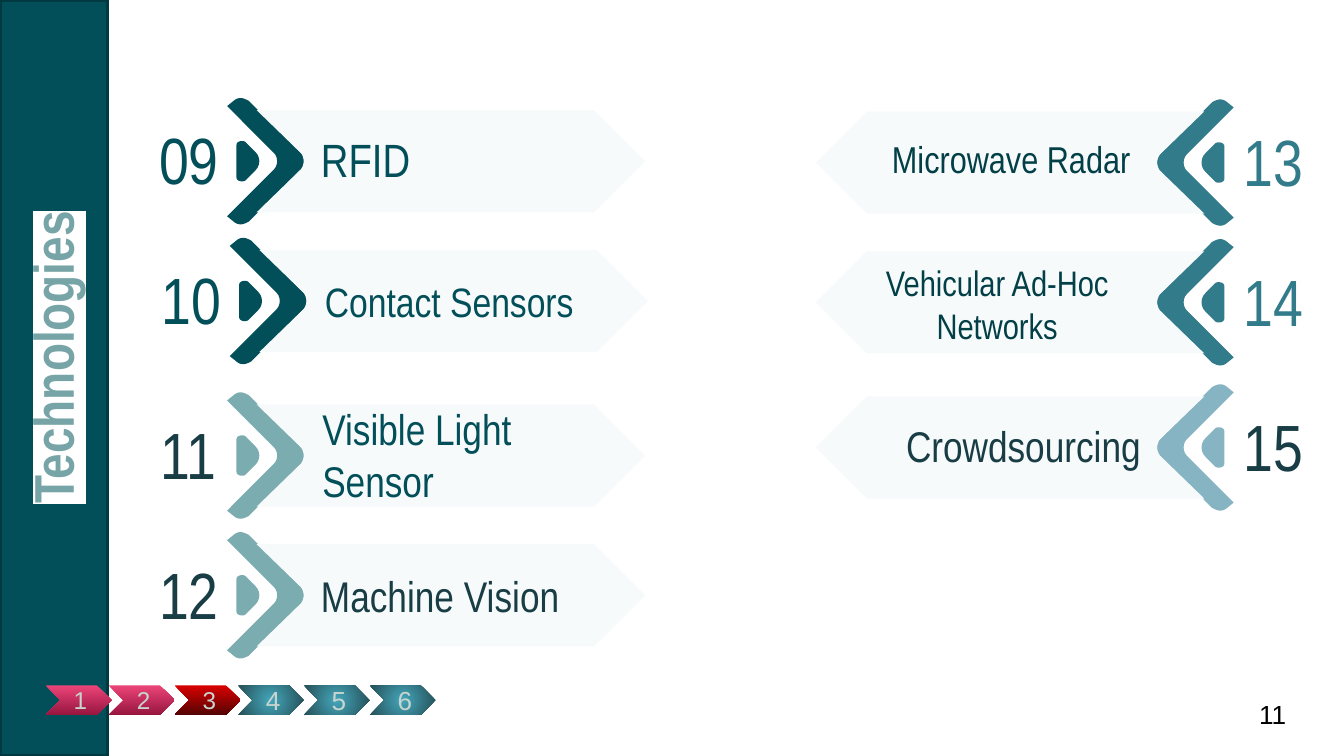
from lxml import etree
from pptx import Presentation
from pptx.dml.color import RGBColor
from pptx.enum.shapes import MSO_SHAPE
from pptx.enum.text import MSO_ANCHOR, PP_ALIGN
from pptx.oxml.ns import qn
from pptx.util import Inches, Pt

WIDTH = Inches(10)
HEIGHT = WIDTH * 9 // 16
NARROW = "Arial Narrow"
DARK, TEAL, SAGE, SKY = "024F59", "327B8A", "7BACB0", "86B4C2"
INK, DEEP, PALE = "183D45", "023F47", "F7FAFB"
PINK, RED, BLUE = ("EC4479", "97163F"), ("DB0000", "540303"), ("44A7BB", "254E56")
LEFT, MID, RIGHT = PP_ALIGN.LEFT, PP_ALIGN.CENTER, PP_ALIGN.RIGHT
MIRROR = 10.87  # right-hand x = MIRROR - left-hand x

# Outlines around a row's middle line: pairs are corners, sixes are Bezier curves.
ARROW = [
    (1.79, -.47), (1.77, -.47, 1.75, -.46, 1.74, -.45), (1.69, -.41), (2.04, -.06),
    (2.07, -.03, 2.07, .03, 2.04, .06), (1.69, .41), (1.74, .45),
    (1.75, .46, 1.77, .47, 1.79, .47), (1.81, .47, 1.83, .46, 1.85, .45), (2.24, .06),
    (2.27, .03, 2.27, -.03, 2.24, -.06), (1.85, -.45),
    (1.83, -.46, 1.81, -.47, 1.79, -.47)]
DROP = [
    (1.8, -.15), (1.78, -.15, 1.76, -.14, 1.76, -.12), (1.76, .12),
    (1.76, .14, 1.78, .15, 1.8, .15), (1.81, .15, 1.82, .15, 1.83, .14), (1.9, .07),
    (1.94, .03, 1.94, -.03, 1.9, -.07), (1.83, -.14),
    (1.82, -.15, 1.81, -.15, 1.8, -.15)]
BAND = [
    (1.91, -.38), (2.24, -.06), (2.25, -.05, 2.26, -.02, 2.26, 0),
    (2.26, .02, 2.25, .05, 2.24, .06), (1.91, .38), (4.42, .38), (4.8, 0), (4.42, -.38)]

# number, label, middle y, shift x, arrow colour, number colour,
# label colour, label size, label left, label middle, label width, label alignment
LEFT_ROWS = [
    ("09", "RFID", 1.2, 0, DARK, DARK, DARK, 25, 2.29, 1.18, 2.13, LEFT),
    ("10", "Contact Sensors", 2.24, .02, DARK, DARK, DARK, 22, 2.32, 2.24, 2.13, LEFT),
    ("11", "Visible Light Sensor", 3.39, 0, SAGE, INK, DARK, 23, 2.3, 3.38, 2.13, LEFT),
    ("12", "Machine Vision", 4.43, 0, SAGE, INK, INK, 23, 2.29, 4.43, 2.13, LEFT)]
RIGHT_ROWS = [
    ("13", "Microwave Radar", 1.21, 0, TEAL, TEAL, DEEP, 20, 6.46, 1.18, 2.13, MID),
    ("14", "Vehicular Ad-Hoc Networks", 2.25, 0, TEAL, TEAL, DEEP, 19, 6.22, 2.26, 2.4, MID),
    ("15", "Crowdsourcing", 3.33, 0, SKY, INK, INK, 23, 6.46, 3.31, 2.13, RIGHT)]

STEPS = [(.34, PINK), (.81, PINK), (1.3, RED), (1.77, BLUE), (2.26, BLUE), (2.75, BLUE)]


def paint(fmt, color):
    fmt.solid()
    fmt.fore_color.rgb = RGBColor.from_string(color)


def write(shape, text, size, color, font=NARROW, align=LEFT, anchor=MSO_ANCHOR.MIDDLE):
    frame = shape.text_frame
    frame.text = text
    frame.word_wrap = True
    frame.vertical_anchor = anchor
    frame.margin_left = frame.margin_right = Inches(.1)
    frame.margin_top = frame.margin_bottom = Inches(.1)
    par = frame.paragraphs[0]
    par.alignment = align
    run = par.runs[0]
    run.font.size = Pt(size)
    run.font.name = font
    run.font.color.rgb = RGBColor.from_string(color)
    return run


def add_text(slide, box, *args, **kw):
    return write(slide.shapes.add_textbox(*map(Inches, box)), *args, **kw)


def trace(outline, steps=6):
    """Turn corners and curves into a list of points."""
    points = []
    for part in outline:
        if len(part) == 2:
            points.append(part)
            continue
        ends = [points[-1], part[:2], part[2:4], part[4:]]
        for i in range(1, steps + 1):
            t = i / steps
            mix = ((1 - t) ** 3, 3 * t * (1 - t) ** 2, 3 * t * t * (1 - t), t ** 3)
            points.append(tuple(sum(m * e[k] for m, e in zip(mix, ends)) for k in (0, 1)))
    return points


def add_outline(slide, outline, y, shift, color, flip):
    points = [(Inches((MIRROR - px if flip else px) + shift), Inches(y + py))
              for px, py in trace(outline)]
    pen = slide.shapes.build_freeform(*points[0])
    pen.add_line_segments(points[1:], close=True)
    shape = pen.convert_to_shape()
    shape.shadow.inherit = False
    paint(shape.fill, color)
    shape.line.fill.background()


def add_row(slide, row, flip):
    num, label, y, shift, color, num_color, ink, size, x, middle, width, align = row
    for outline, fill in ((ARROW, color), (DROP, color), (BAND, PALE)):
        add_outline(slide, outline, y, shift, fill, flip)
    add_text(slide, (x, middle - .37, width, .74), label, size, ink, align=align)
    add_text(slide, ((9.12 if flip else 1.05) + shift, y - .41, .71, .74), num, 35,
             num_color, align=MID, anchor=MSO_ANCHOR.TOP)


def add_step(slide, num, x, colors):
    shape = slide.shapes.add_shape(
        MSO_SHAPE.CHEVRON, Inches(x), Inches(5.1), Inches(.49), Inches(.22))
    shape.shadow.inherit = False
    shape.line.fill.background()
    shape.fill.gradient()
    shape.fill.gradient_angle = 270
    for stop, color in zip(shape.fill.gradient_stops, colors):
        stop.color.rgb = RGBColor.from_string(color)
    if colors == BLUE:
        grad = shape._element.spPr.find(qn("a:gradFill"))
        grad.remove(grad.find(qn("a:lin")))
        ring = etree.SubElement(grad, qn("a:path"), {"path": "circle"})
        etree.SubElement(ring, qn("a:fillToRect"), dict.fromkeys("ltrb", "50000"))
    write(shape, str(num), 14 if colors == BLUE else 13, "C7D4CF", "Arial")


def add_side(slide):
    bar = slide.shapes.add_shape(MSO_SHAPE.RECTANGLE, 0, 0, Inches(.8), HEIGHT)
    bar.shadow.inherit = False
    paint(bar.fill, DARK)
    paint(bar.line.fill, "013940")
    bar.line.width = Pt(2)


def set_title(slide, text):
    title = slide.shapes.title
    title.left, title.top = Inches(-2.07), Inches(2.32)
    title.width, title.height = Inches(4.94), Inches(.68)
    title.rotation = 270
    run = write(title, text, 30, "77A4A7", align=MID, anchor=MSO_ANCHOR.BOTTOM)
    run.font.bold = True
    title.text_frame.paragraphs[0].line_spacing = .9
    glow = etree.Element(qn("a:highlight"))
    etree.SubElement(glow, qn("a:srgbClr"), val="FFFFFF")
    run._r.rPr.find(qn("a:solidFill")).addnext(glow)
    slide.shapes._spTree.append(title._element)  # bring in front of the bar


def main():
    deck = Presentation()
    deck.slide_width, deck.slide_height = WIDTH, HEIGHT
    slide = deck.slides.add_slide(deck.slide_layouts[5])
    add_side(slide)
    set_title(slide, "Technologies")
    for row in LEFT_ROWS:
        add_row(slide, row, False)
    for row in RIGHT_ROWS:
        add_row(slide, row, True)
    add_text(slide, (9.27, 5.1, .6, .43), "11", 14, "000000", "Arial")
    for num, (x, colors) in enumerate(STEPS, 1):
        add_step(slide, num, x, colors)
    deck.save("out.pptx")


if __name__ == "__main__":
    main()
